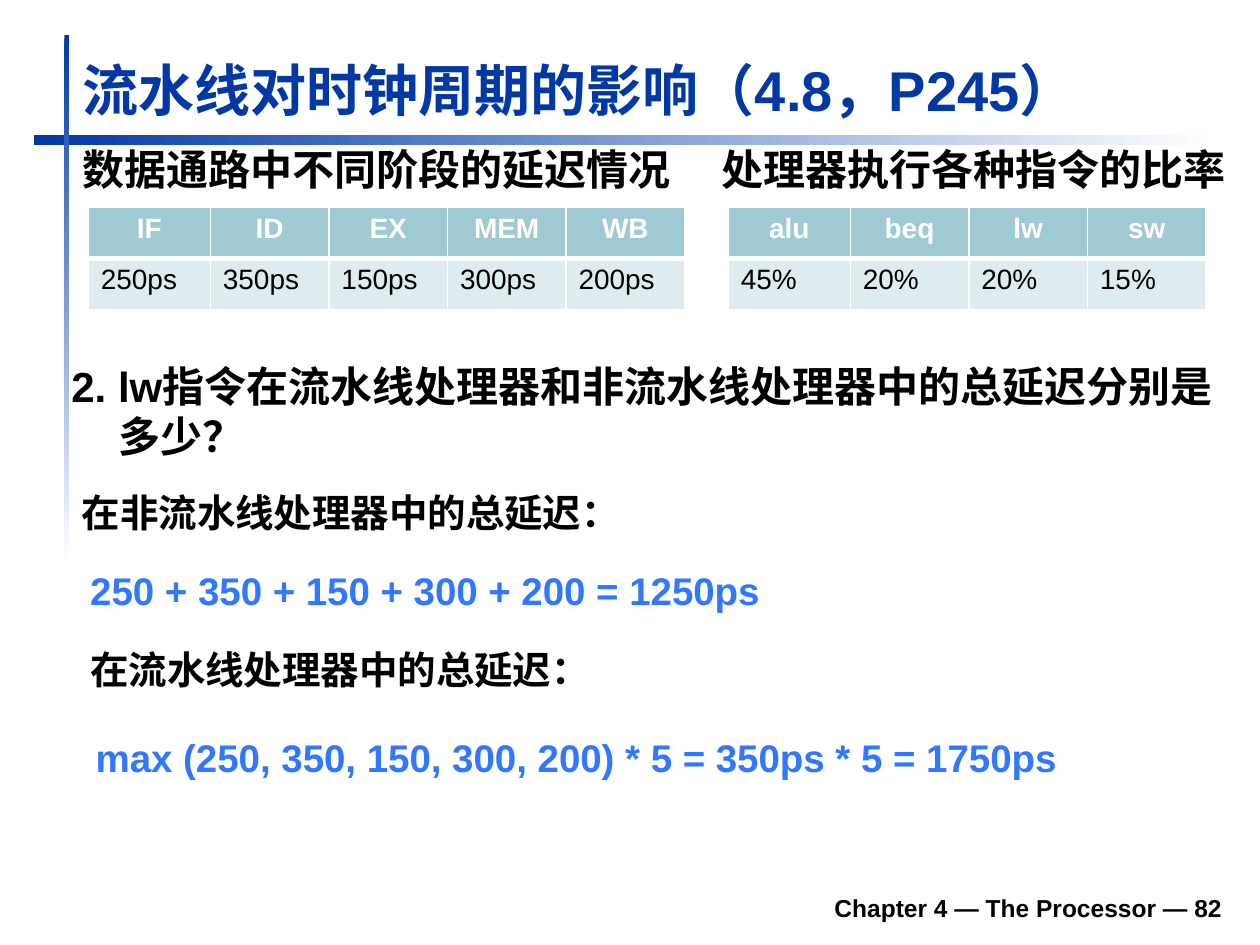
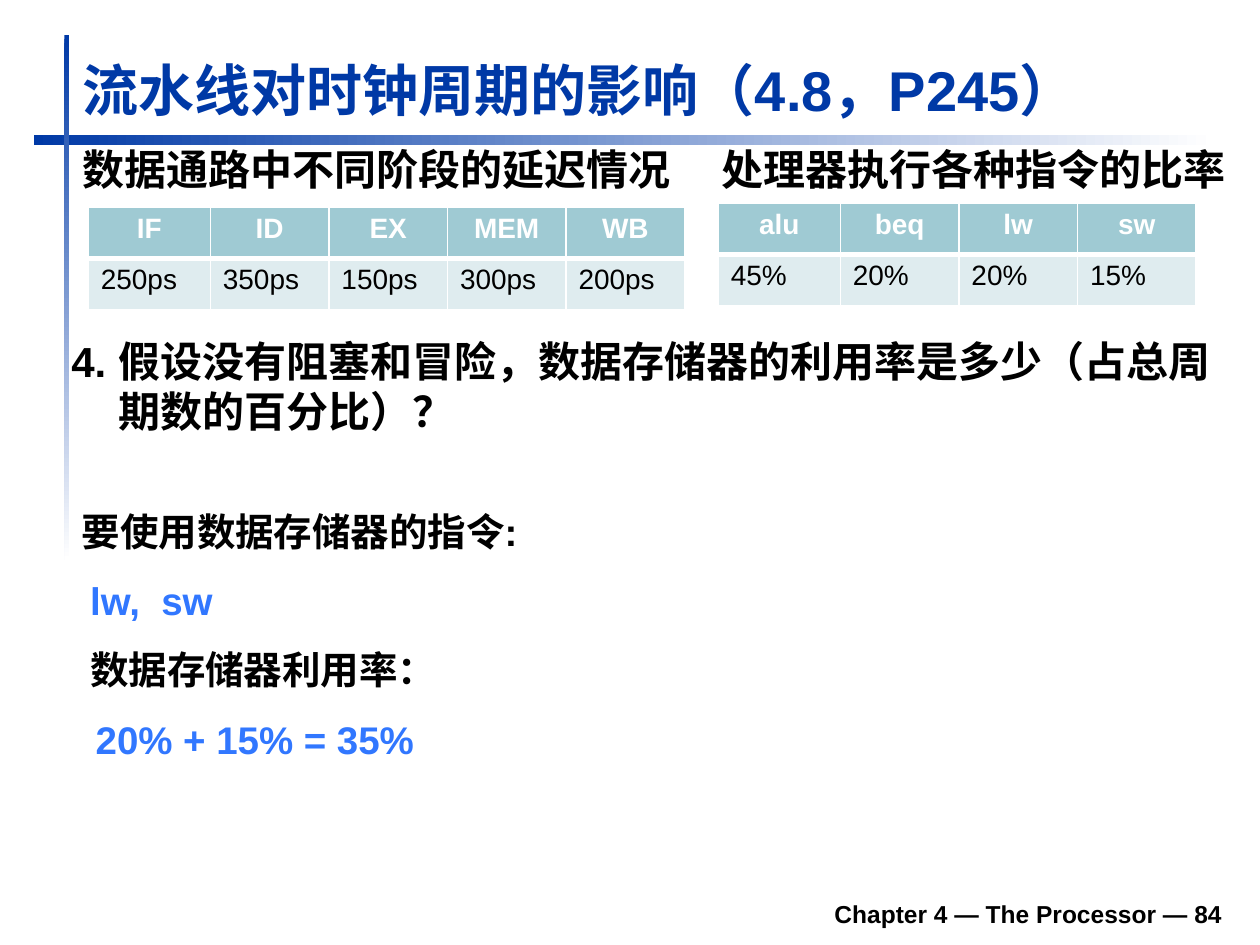
from dataclasses import dataclass
from typing import NamedTuple

from lxml.etree import SubElement
from pptx import Presentation
from pptx.dml.color import RGBColor
from pptx.enum.shapes import MSO_SHAPE
from pptx.enum.text import MSO_ANCHOR as Anchor, MSO_AUTO_SIZE as AutoSize, PP_ALIGN as Align
from pptx.oxml import parse_xml
from pptx.oxml.ns import nsdecls, qn
from pptx.util import Cm, Pt


@dataclass(frozen=True)
class Theme:
    font: str = "Arial"
    blue: str = "0039A6"
    answer: str = "3177FF"
    black: str = "000000"
    white: str = "FFFFFF"
    header_fill: str = "9FCAD3"
    body_fill: str = "DFECEF"
    title_size: int = 32
    heading_size: int = 24
    answer_size: int = 22
    table_size: int = 16
    footer_size: int = 14


THEME = Theme()


class Box(NamedTuple):
    """Left, top, width and height in centimetres."""
    left: float
    top: float
    width: float
    height: float


class Band(NamedTuple):
    box: Box
    angle: int


class TableData(NamedTuple):
    names: list[str]
    values: list[str]


@dataclass(frozen=True)
class Exercise:
    number: int
    question: str
    question_box: Box
    answer_lines: list[str]
    answer_tops: list[float]
    ratio_table_at: tuple[float, float]
    footer_top: float


# Shared content and geometry
TITLE = "流水线对时钟周期的影响（4.8，P245）"
TITLE_BOX = Box(1.4, 0.97, 22.94, 1.63)
DELAY_HEADING = "数据通路中不同阶段的延迟情况"
DELAY_HEADING_BOX = Box(1.4, 2.77, 12.98, 1.6)
RATIO_HEADING = "处理器执行各种指令的比率"
RATIO_HEADING_BOX = Box(14.3, 2.77, 11.12, 1.6)
BANDS = [Band(Box(1.3, 0.71, 0.1, 10.59), 270), Band(Box(0.69, 2.72, 23.8, 0.2), 0)]
DELAYS = TableData(["IF", "ID", "EX", "MEM", "WB"],
                   ["250ps", "350ps", "150ps", "300ps", "200ps"])
RATIOS = TableData(["alu", "beq", "lw", "sw"], ["45%", "20%", "20%", "15%"])
DELAY_TABLE_AT = (1.78, 4.17)
FIRST_COLUMN, OTHER_COLUMN, ROW_HEIGHT = 2.46, 2.39, 1.04
HANGING_INDENT = Cm(0.95)
ANSWER_LEFTS = [1.4, 1.57, 1.57, 1.68]
ANSWER_COLORS = [THEME.black, THEME.answer] * 2

EXERCISES = [
    Exercise(82, "2. lw指令在流水线处理器和非流水线处理器中的总延迟分别是多少？",
             Box(1.19, 7.14, 23.52, 2.18),
             ["在非流水线处理器中的总延迟：",
              "250 + 350 + 150 + 300 + 200 = 1250ps",
              "在流水线处理器中的总延迟：",
              "max (250, 350, 150, 300, 200) * 5 = 350ps * 5 = 1750ps"],
             [9.73, 11.3, 12.9, 14.68], (14.68, 4.17), 17.73),
    Exercise(84, "4. 假设没有阻塞和冒险，数据存储器的利用率是多少（占总周期数的百分比）？",
             Box(1.19, 6.63, 23.52, 2.51),
             ["要使用数据存储器的指令:", "lw,  sw", "数据存储器利用率：", "20% + 15% = 35%"],
             [10.11, 11.51, 12.9, 14.3], (14.48, 4.09), 17.86),
]


def write_text(frame, text: str, *, size: int, color: str = THEME.black, bold: bool = True,
               align: Align = Align.LEFT, hanging: bool = False) -> None:
    paragraph = frame.paragraphs[0]
    paragraph.alignment = align
    paragraph.space_before = Pt(0)
    if hanging:
        properties = paragraph._p.get_or_add_pPr()
        properties.set("marL", str(HANGING_INDENT))
        properties.set("indent", str(-HANGING_INDENT))
        SubElement(properties, qn("a:buNone"))
    run = paragraph.add_run()
    run.text = text
    run.font.name = THEME.font
    run.font.size = Pt(size)
    run.font.bold = bold
    run.font.color.rgb = RGBColor.from_string(color)


def set_frame(shape, anchor: Anchor = Anchor.TOP, auto_size: AutoSize = AutoSize.NONE):
    frame = shape.text_frame
    frame.word_wrap = True
    frame.auto_size = auto_size
    frame.vertical_anchor = anchor
    return frame


def fill_placeholder(shape, box: Box, text: str, anchor: Anchor, auto_size: AutoSize,
                     **text_format) -> None:
    shape.left, shape.top, shape.width, shape.height = map(Cm, box)
    write_text(set_frame(shape, anchor, auto_size), text, **text_format)


def add_text(slide, box: Box, text: str, *, anchor: Anchor = Anchor.TOP, **text_format) -> None:
    shape = slide.shapes.add_textbox(*map(Cm, box))
    write_text(set_frame(shape, anchor), text, **text_format)


def add_band(slide, band: Band) -> None:
    shape = slide.shapes.add_shape(MSO_SHAPE.RECTANGLE, *map(Cm, band.box))
    shape.shadow.inherit = False
    shape.line.fill.background()
    shape.fill.gradient()
    shape.fill.gradient_angle = band.angle
    for stop, color in zip(shape.fill.gradient_stops, (THEME.blue, THEME.white)):
        stop.color.rgb = RGBColor.from_string(color)
    # Send the band behind the placeholders
    slide.shapes.element.insert(2, shape.element)


def set_borders(cell, widths: dict[str, int]) -> None:
    properties = cell._tc.get_or_add_tcPr()
    for position, (side, width) in enumerate(widths.items()):
        properties.insert(position, parse_xml(
            f'<a:ln{side} {nsdecls("a")} w="{Pt(width)}"><a:solidFill>'
            f'<a:srgbClr val="{THEME.white}"/></a:solidFill></a:ln{side}>'))


def add_data_table(slide, at: tuple[float, float], data: TableData) -> None:
    count = len(data.names)
    widths = [FIRST_COLUMN] + [OTHER_COLUMN] * (count - 1)
    table = slide.shapes.add_table(2, count, *map(Cm, (*at, sum(widths), 2 * ROW_HEIGHT))).table
    for column, width in zip(table.columns, widths):
        column.width = Cm(width)
    for row_index, texts in enumerate(data):
        header = row_index == 0
        table.rows[row_index].height = Cm(ROW_HEIGHT)
        for column_index, text in enumerate(texts):
            cell = table.cell(row_index, column_index)
            cell.fill.solid()
            cell.fill.fore_color.rgb = RGBColor.from_string(
                THEME.header_fill if header else THEME.body_fill)
            set_borders(cell, {"L": 1, "R": 1, "T": 1 if header else 3, "B": 3 if header else 1})
            write_text(cell.text_frame, text, size=THEME.table_size, bold=header,
                       color=THEME.white if header else THEME.black,
                       align=Align.CENTER if header else Align.LEFT)


def add_exercise(presentation, exercise: Exercise) -> None:
    slide = presentation.slides.add_slide(presentation.slide_layouts[1])
    for band in BANDS:
        add_band(slide, band)

    # Title and headings
    heading_format = dict(size=THEME.heading_size, hanging=True)
    fill_placeholder(slide.shapes.title, TITLE_BOX, TITLE, Anchor.BOTTOM,
                     AutoSize.SHAPE_TO_FIT_TEXT, size=THEME.title_size, color=THEME.blue)
    fill_placeholder(slide.placeholders[1], DELAY_HEADING_BOX, DELAY_HEADING, Anchor.TOP,
                     AutoSize.NONE, **heading_format)
    add_text(slide, RATIO_HEADING_BOX, RATIO_HEADING, **heading_format)

    # Tables
    add_data_table(slide, DELAY_TABLE_AT, DELAYS)
    add_data_table(slide, exercise.ratio_table_at, RATIOS)

    # Question and answer
    add_text(slide, exercise.question_box, exercise.question, **heading_format)
    for left, top, text, color in zip(ANSWER_LEFTS, exercise.answer_tops,
                                      exercise.answer_lines, ANSWER_COLORS):
        add_text(slide, Box(left, top, 23.52, 1.4), text,
                 size=THEME.answer_size, color=color, hanging=True)

    # Footer
    add_text(slide, Box(4.7, exercise.footer_top, 20.19, 0.99),
             f"Chapter 4 — The Processor — {exercise.number}",
             anchor=Anchor.BOTTOM, size=THEME.footer_size, align=Align.RIGHT)


def main() -> None:
    presentation = Presentation()
    presentation.slide_width, presentation.slide_height = Cm(25.4), Cm(19.05)
    for exercise in EXERCISES:
        add_exercise(presentation, exercise)
    presentation.save("out.pptx")


if __name__ == "__main__":
    main()
